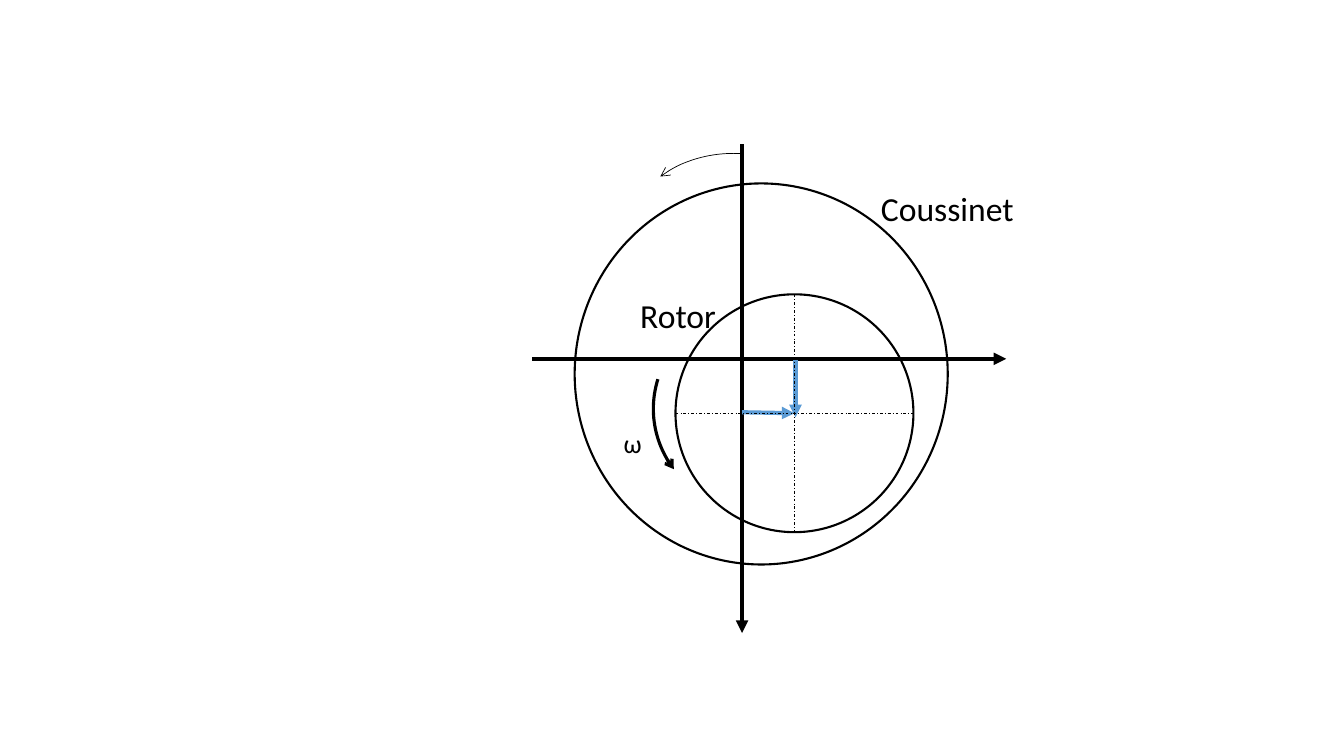
from dataclasses import dataclass

from lxml.etree import SubElement
from pptx import Presentation
from pptx.dml.color import RGBColor
from pptx.enum.dml import MSO_LINE_DASH_STYLE as Dash
from pptx.enum.shapes import MSO_CONNECTOR as Connector, MSO_SHAPE as Preset
from pptx.enum.text import MSO_AUTO_SIZE as AutoSize, PP_ALIGN as Align
from pptx.oxml.ns import qn
from pptx.util import Inches, Pt


@dataclass(frozen=True)
class Theme:
    font: str = "Calibri"
    ink: RGBColor = RGBColor(0, 0, 0)
    paper: RGBColor = RGBColor(255, 255, 255)
    accent: RGBColor = RGBColor(0x5B, 0x9B, 0xD5)
    label_size: float = 24
    symbol_size: float = 32
    axis: float = 3
    motion: float = 2.25
    outline: float = 1.5
    hairline: float = 0.5


def write_text(frame, text, *, font, size, color, align=Align.CENTER, baseline=None):
    paragraph = frame.paragraphs[0]
    paragraph.alignment = align
    run = paragraph.add_run()
    run.text = text
    run.font.name = font
    run.font.size = Pt(size)
    run.font.color.rgb = color
    if baseline is not None:
        run.font._element.set("baseline", str(baseline))


class Diagram:
    def __init__(self, slide, theme):
        self.theme = theme
        self.shapes = slide.shapes.add_group_shape().shapes

    def stroke(self, line, width, color=None, dash=None, end=None, arrow="triangle"):
        line.color.rgb = color or self.theme.ink
        line.width = Pt(width)
        if dash:
            line.dash_style = dash
        if end:
            SubElement(line._get_or_add_ln(), qn(f"a:{end}End"), type=arrow)

    def segment(self, start, finish, width, **style):
        connector = self.shapes.add_connector(
            Connector.STRAIGHT, *map(Inches, (*start, *finish)))
        self.stroke(connector.line, width, **style)
        SubElement(connector._element.spPr, qn("a:effectLst"))

    def outline(self, preset, box, width, fill=None, **style):
        shape = self.shapes.add_shape(preset, *map(Inches, box))
        shape.shadow.inherit = False
        if fill is None:
            shape.fill.background()
        else:
            shape.fill.solid()
            shape.fill.fore_color.rgb = fill
        self.stroke(shape.line, width, **style)
        return shape

    def motion_arc(self, box, angles, rotation, width):
        arc = self.outline(Preset.ARC, box, width, end="head", arrow="arrow")
        arc.rotation = rotation
        arc.adjustments[0], arc.adjustments[1] = angles

    def label(self, text, box, size, **style):
        frame = self.shapes.add_textbox(*map(Inches, box)).text_frame
        frame.word_wrap = True
        frame.auto_size = AutoSize.SHAPE_TO_FIT_TEXT
        write_text(frame, text, font=self.theme.font, size=size,
                   color=self.theme.ink, **style)


def main():
    presentation = Presentation()
    presentation.slide_width = Inches(13.33)
    presentation.slide_height = Inches(7.5)
    slide = presentation.slides.add_slide(presentation.slide_layouts[6])
    theme = Theme()
    diagram = Diagram(slide, theme)

    origin_x, origin_y = 7.36, 3.56
    rotor_x, rotor_y, radius = 7.88, 4.1, 1.18

    diagram.outline(Preset.OVAL, (5.7, 1.82, 3.7, 3.78), theme.outline, fill=theme.paper)
    diagram.segment((5.28, origin_y), (9.98, origin_y), theme.axis, end="tail")
    diagram.label("Coussinet", (8.32, 1.82, 2.15, 0.5), theme.label_size)
    diagram.segment((origin_x, 1.43), (origin_x, 6.28), theme.axis, end="tail")

    for start, finish in (
        ((origin_x, 4.09), (rotor_x, rotor_y)),
        ((7.89, 3.57), (7.89, 4.14)),
    ):
        diagram.segment(start, finish, theme.axis, color=theme.accent, end="tail")

    for dx, dy in ((0, radius), (radius, 0)):
        diagram.segment((rotor_x - dx, rotor_y - dy), (rotor_x + dx, rotor_y + dy),
                        theme.hairline, dash=Dash.DASH_DOT)
    diagram.outline(Preset.OVAL, (rotor_x - radius, rotor_y - radius,
                                  2 * radius, 2 * radius), theme.outline)

    diagram.motion_arc((6.48, 3.07, 1.97, 1.97), (193.53, 10.41), 180, theme.motion)
    diagram.label("ω", (6, 3.89, 0.55, 0.46), theme.symbol_size, baseline=-25000)
    diagram.label("Rotor", (5.78, 2.88, 1.89, 0.5), theme.label_size)
    diagram.motion_arc((6.31, 1.37, 2.02, 2.33), (184.61, 213.12), 277.8, theme.hairline)

    presentation.save("out.pptx")


if __name__ == "__main__":
    main()
